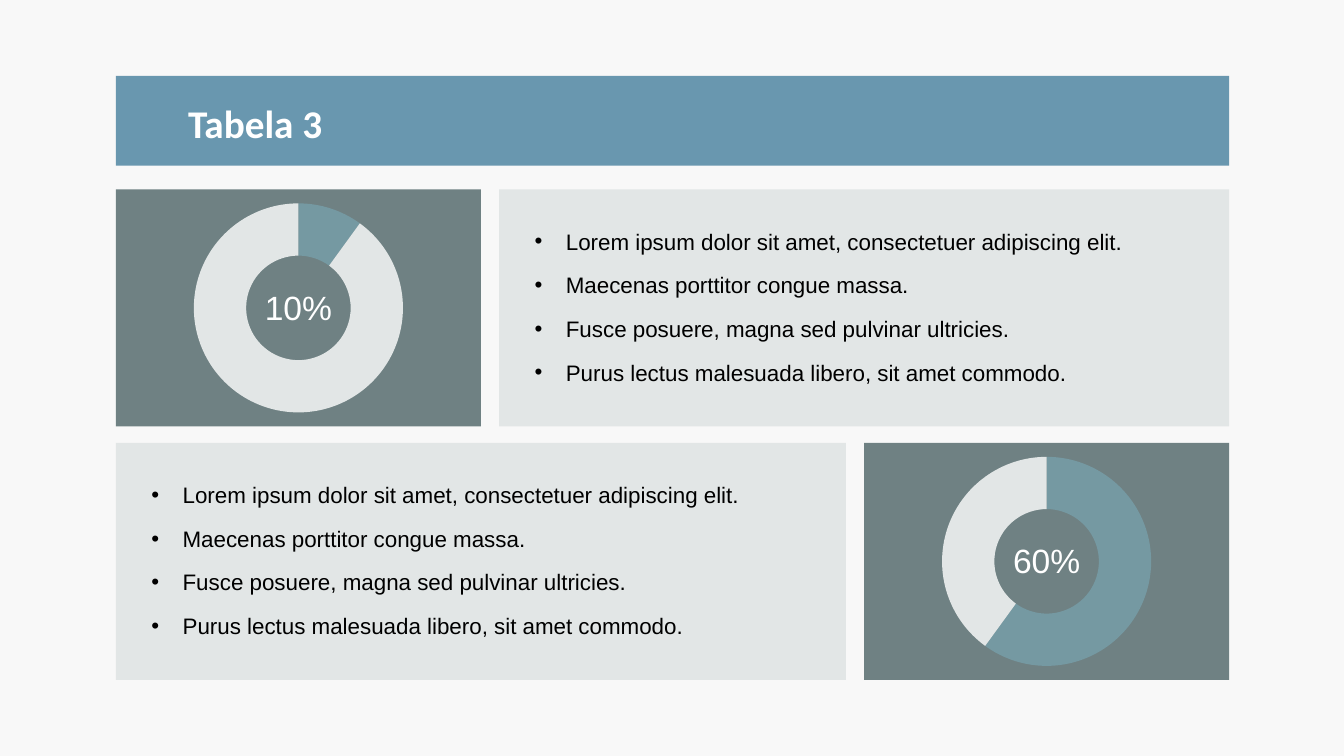
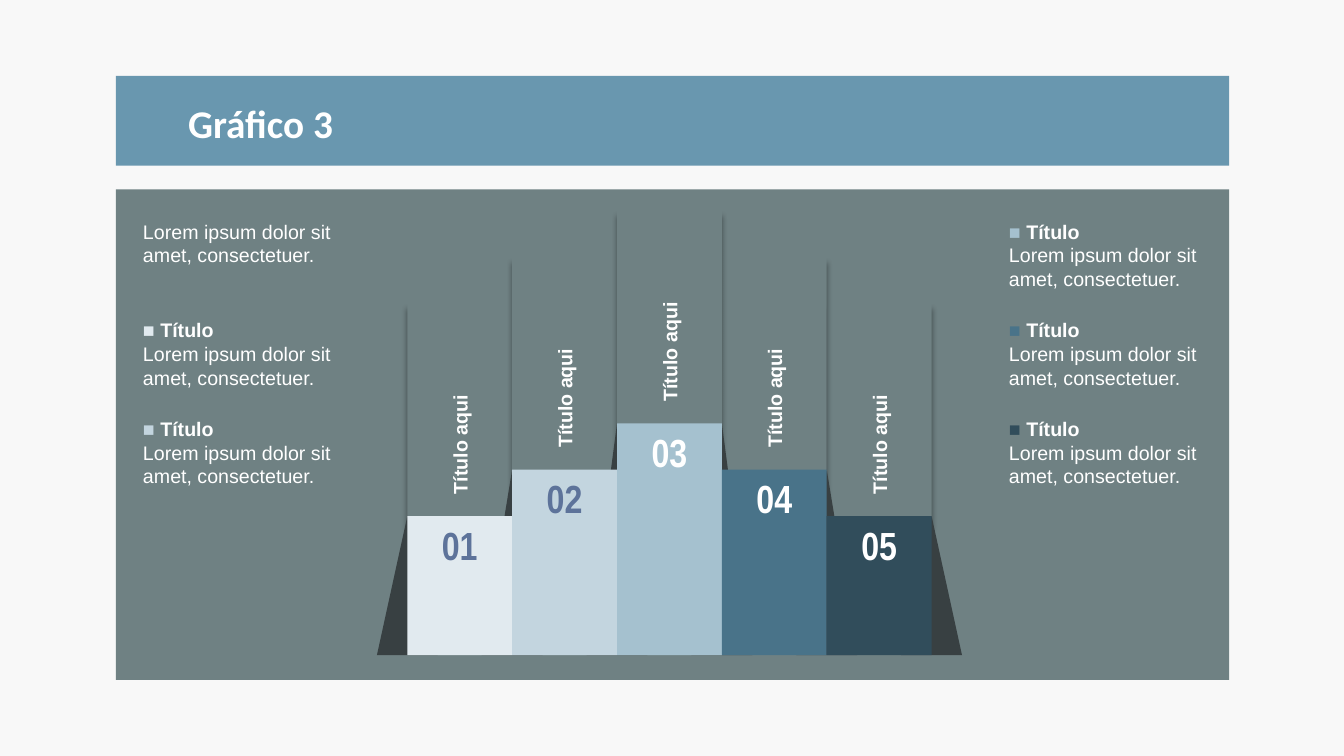
from dataclasses import dataclass

from lxml import etree
from pptx import Presentation
from pptx.chart.data import CategoryChartData
from pptx.dml.color import RGBColor
from pptx.enum.chart import XL_CHART_TYPE
from pptx.enum.shapes import MSO_SHAPE
from pptx.enum.text import MSO_ANCHOR, MSO_AUTO_SIZE, PP_ALIGN
from pptx.oxml.ns import qn
from pptx.util import Inches, Pt

RECTANGLE = MSO_SHAPE.RECTANGLE
TRIANGLE = MSO_SHAPE.ISOSCELES_TRIANGLE
DOUGHNUT = XL_CHART_TYPE.DOUGHNUT
LEFT, CENTER = PP_ALIGN.LEFT, PP_ALIGN.CENTER
TOP, MIDDLE = MSO_ANCHOR.TOP, MSO_ANCHOR.MIDDLE
GROW = MSO_AUTO_SIZE.SHAPE_TO_FIT_TEXT

PAPER = RGBColor(0xF8, 0xF8, 0xF8)
WHITE = RGBColor(0xFF, 0xFF, 0xFF)
BLACK = RGBColor(0x00, 0x00, 0x00)
BAND = RGBColor(0x69, 0x97, 0xAF)
SLATE = RGBColor(0x6F, 0x81, 0x83)
MIST = RGBColor(0xE2, 0xE6, 0xE6)
TEAL = RGBColor(0x75, 0x99, 0xA2)
SHADE = RGBColor(0x38, 0x40, 0x42)
INDIGO = RGBColor(0x5D, 0x73, 0x9A)
STEP_COLORS = (
    RGBColor(0xE1, 0xEA, 0xEF),
    RGBColor(0xC3, 0xD5, 0xDF),
    RGBColor(0xA5, 0xC1, 0xCF),
    RGBColor(0x49, 0x73, 0x89),
    RGBColor(0x31, 0x4D, 0x5B),
)

TITLE = {"name": "Calibri", "size": Pt(28), "bold": True, "color": WHITE}
LIST = {"name": "Arial", "size": Pt(16), "color": BLACK}
PERCENT = {"name": "Arial", "size": Pt(24), "color": WHITE}
CAPTION = {"name": "Arial", "size": Pt(14), "color": WHITE}
HEADING = {**CAPTION, "bold": True}
NUMBER = {"name": "Arial Narrow", "size": Pt(28), "bold": True}
AXIS = {"name": "Arial", "size": Pt(10), "color": BLACK}

ITEMS = (
    "Lorem ipsum dolor sit amet, consectetuer adipiscing elit.",
    "Maecenas porttitor congue massa.",
    "Fusce posuere, magna sed pulvinar ultricies.",
    "Purus lectus malesuada libero, sit amet commodo.",
)
NOTE = "Lorem ipsum dolor sit amet, consectetuer."


@dataclass
class Grid:
    left: float
    top: float
    column: float
    row: float

    def cell(self, column, row, columns=1, rows=1):
        return (
            Inches(self.left + column * self.column),
            Inches(self.top + row * self.row),
            Inches(columns * self.column),
            Inches(rows * self.row),
        )


BODY = Grid(1.15, 1.88, 3.62, 2.35)
STEPS = Grid(4.04, 4.2, 1.04, 0.46)
LEGEND = Grid(1.32, 2.13, 2.1, 0.98)
GUTTER, ROW_GUTTER = 0.05, 0.07
FULL_WIDTH = 3 + GUTTER


def apply_format(font, values):
    for name, value in values.items():
        if name == "color":
            font.color.rgb = value
        else:
            setattr(font, name, value)


class Board:
    def __init__(self):
        self.deck = Presentation()
        self.deck.slide_width = Inches(13.33)
        self.deck.slide_height = Inches(7.5)
        fill = self.deck.slide_master.background.fill
        fill.solid()
        fill.fore_color.rgb = PAPER
        self.page = None

    def start(self, heading):
        self.page = self.deck.slides.add_slide(self.deck.slide_layouts[5])
        self.shape(BODY.cell(0, -0.48, FULL_WIDTH, 0.38), BAND)
        title = self.page.shapes.title
        title.left, title.top, title.width, title.height = BODY.cell(0.17, -0.4, 0.53, 0.24)
        self.fill_frame(title.text_frame, [[(heading, TITLE)]], anchor=MIDDLE)
        title.element.getparent().append(title.element)

    def shape(self, place, color, kind=RECTANGLE, shadow=False):
        shape = self.page.shapes.add_shape(kind, *place)
        shape.shadow.inherit = False
        shape.fill.solid()
        shape.fill.fore_color.rgb = color
        shape.line.fill.background()
        if shadow:
            effects = shape.element.spPr.find(qn("a:effectLst"))
            outer = etree.SubElement(
                effects, qn("a:outerShdw"), blurRad=str(Pt(4)), dist=str(Pt(10)),
                dir="5400000", algn="t", rotWithShape="0",
            )
            tint = etree.SubElement(outer, qn("a:srgbClr"), val=str(BLACK))
            etree.SubElement(tint, qn("a:alpha"), val="40000")

    def fill_frame(self, frame, paragraphs, align=LEFT, anchor=TOP, wrap=True):
        settings = {"word_wrap": wrap, "auto_size": GROW, "vertical_anchor": anchor}
        for name, value in settings.items():
            setattr(frame, name, value)
        for index, spans in enumerate(paragraphs):
            para = frame.add_paragraph() if index else frame.paragraphs[0]
            para.alignment = align
            for text, values in spans:
                span = para.add_run()
                span.text = text
                apply_format(span.font, values)

    def text(self, place, paragraphs, rotation=0, **options):
        box = self.page.shapes.add_textbox(*place)
        box.rotation = rotation
        self.fill_frame(box.text_frame, paragraphs, **options)
        return box

    def bullets(self, place, items):
        box = self.text(place, [[(item, LIST)] for item in items], anchor=MIDDLE)
        for para in box.text_frame.paragraphs:
            para.space_after = Pt(12)
            properties = para._p.get_or_add_pPr()
            properties.set("marL", str(Inches(0.31)))
            properties.set("indent", str(Inches(-0.31)))
            etree.SubElement(properties, qn("a:buFont"), typeface="Arial")
            etree.SubElement(properties, qn("a:buChar"), char="•")

    def doughnut(self, place, percent):
        data = CategoryChartData()
        data.categories = ["1", "2"]
        data.add_series("Series 1", (percent, 100 - percent))
        chart = self.page.shapes.add_chart(DOUGHNUT, *place, data).chart
        chart.has_legend = False
        chart.has_title = False
        apply_format(chart.font, AXIS)
        plot = chart.plots[0]
        plot.vary_by_categories = True
        for hole in chart.element.iter(qn("c:holeSize")):
            hole.set("val", "75")
        for index, color in enumerate((TEAL, MIST)):
            style = plot.series[0].points[index].format
            style.fill.solid()
            style.fill.fore_color.rgb = color
            style.line.fill.background()


def build_table(board):
    board.start("Tabela 3")
    rows = (
        (0, 1 + GUTTER, 0, 10),
        (2 + GUTTER, 0, 1 + ROW_GUTTER, 60),
    )
    for chart_column, list_column, row, percent in rows:
        chart_place = BODY.cell(chart_column, row)
        board.shape(chart_place, SLATE)
        board.shape(BODY.cell(list_column, row, 2), MIST)
        board.bullets(BODY.cell(list_column + 0.07, row + 0.14, 1.86, 0.71), ITEMS)
        board.doughnut(chart_place, percent)
        board.text(
            BODY.cell(chart_column + 0.38, row + 0.39, 0.24, 0.21),
            [[(f"{percent}%", PERCENT)]], align=CENTER, anchor=MIDDLE, wrap=False,
        )


def build_steps(board):
    board.start("Gráfico 3")
    board.shape(BODY.cell(0, 0, FULL_WIDTH, 2 + ROW_GUTTER), SLATE)
    tops = (2, 1, 0, 1, 2)
    base, rise = 5, 4.76
    for column in (0, 4, 3, 1, 2):
        top = tops[column] - rise
        board.shape(STEPS.cell(column, top, 1, 2 - top), SLATE, shadow=True)
    for edge, top in enumerate((2, 1, 0, 0, 1, 2)):
        board.shape(STEPS.cell(edge - 0.29, top, 0.58, base - top), SHADE, TRIANGLE)
    for column, (top, color) in enumerate(zip(tops, STEP_COLORS)):
        board.shape(STEPS.cell(column, top, 1, base - top), color)
        board.text(
            STEPS.cell(column - 0.55, top - 3, 2.1, 0.74),
            [[("Título aqui", HEADING)]], rotation=270, anchor=MIDDLE,
        )
        number = {**NUMBER, "color": INDIGO if column < 2 else WHITE}
        board.text(
            STEPS.cell(column + 0.23, top, 0.54, 1.24),
            [[(f"{column + 1:02}", number)]], align=CENTER, wrap=False,
        )
    board.text(LEGEND.cell(0, 0, 1, 0.58), [[(NOTE, CAPTION)]])
    for position, color in enumerate(STEP_COLORS, 1):
        side, row = divmod(position, 3)
        heading = [("■ ", {**HEADING, "color": color}), ("Título", HEADING)]
        board.text(LEGEND.cell(side * 4.09, row, 1, 0.83), [heading, [(NOTE, CAPTION)]])


def main():
    board = Board()
    build_table(board)
    build_steps(board)
    board.deck.save("out.pptx")


if __name__ == "__main__":
    main()
